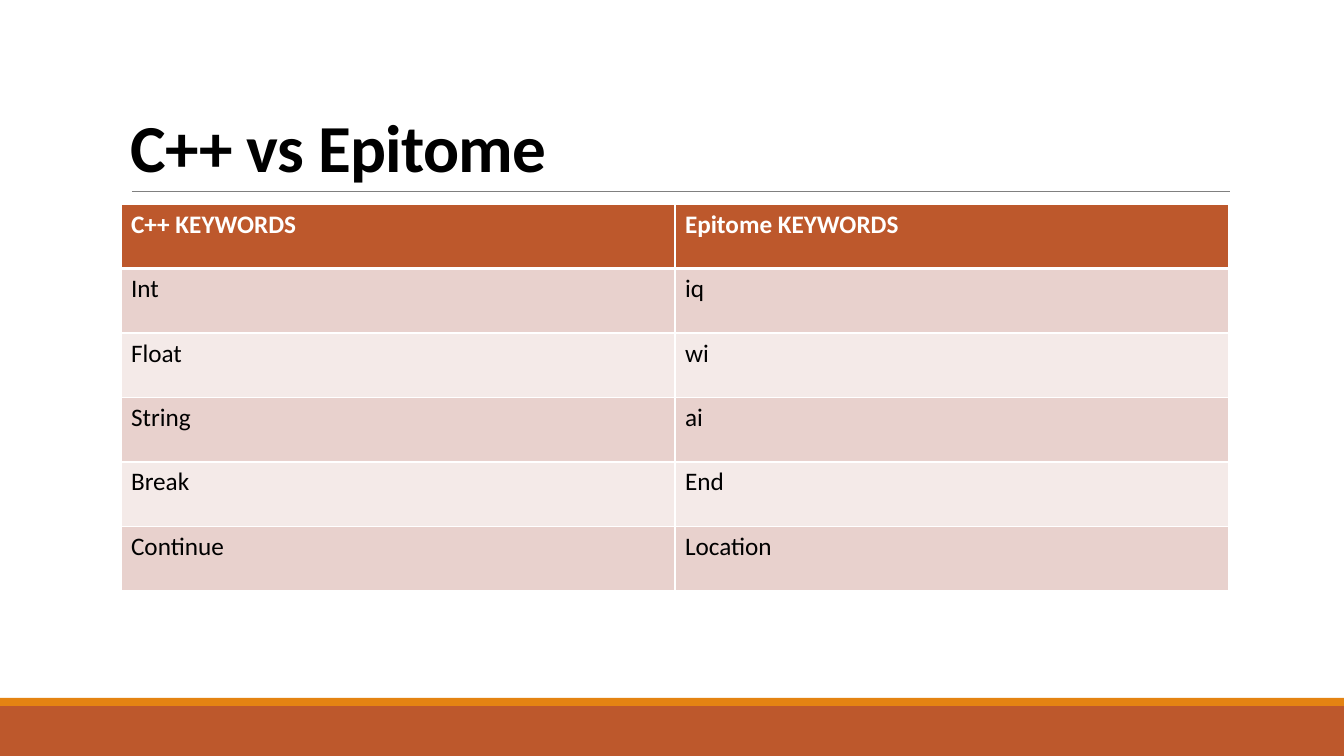
import pptx
import pptx.util
import pptx.dml.color
import pptx.enum.shapes
import pptx.enum.text
import pptx.oxml.ns
import lxml.etree

TITLE = "C++ vs Epitome"
KEYWORDS = [
    ("C++ KEYWORDS", "Epitome KEYWORDS"),
    ("Int", "iq"),
    ("Float", "wi"),
    ("String", "ai"),
    ("Break", "End"),
    ("Continue", "Location"),
]

THEME = {
    "font": "Calibri",
    "title_size": 48,
    "table_size": 18,
    "text": "000000",
    "white": "FFFFFF",
    "rust": "BD582C",
    "orange": "E48312",
    "rule": "808080",
    "bands": ("E8D1CD", "F4EAE8"),
}

# Lengths in px: left, top, width, height
PAGE_SIZE = (1344, 756)
FOOTER_BANDS = [("rust", (0, 706, 1344, 50)), ("orange", (0, 698, 1344, 8))]
TITLE_BOX = (121, 31, 1109, 160)
TITLE_RULE = (132, 191, 1230, 191)
TABLE_BOX = (121, 204, 1108, 387)
THIN, THICK = 1, 3


def emu(*lengths):
    return [pptx.util.Emu(round(length * 914400 / 100.8)) for length in lengths]


def color(value):
    return pptx.dml.color.RGBColor.from_string(value)


def style(para, size, fill, bold):
    for span in para.runs:
        span.font.name = THEME["font"]
        span.font.size = pptx.util.Pt(size)
        span.font.bold = bold
        span.font.color.rgb = color(fill)


def add_footer(page):
    for name, place in FOOTER_BANDS:
        band = page.shapes.add_shape(
            pptx.enum.shapes.MSO_SHAPE.RECTANGLE, *emu(*place))
        band.shadow.inherit = False
        band.fill.solid()
        band.fill.fore_color.rgb = color(THEME[name])
        band.line.fill.background()


def add_title(page):
    rule = page.shapes.add_connector(
        pptx.enum.shapes.MSO_CONNECTOR.STRAIGHT, *emu(*TITLE_RULE))
    rule.line.color.rgb = color(THEME["rule"])
    rule.line.width = pptx.util.Pt(0.5)
    lxml.etree.SubElement(rule._element.spPr, pptx.oxml.ns.qn("a:effectLst"))

    box = page.shapes.add_textbox(*emu(*TITLE_BOX))
    frame = box.text_frame
    frame.word_wrap = True
    frame.vertical_anchor = pptx.enum.text.MSO_ANCHOR.BOTTOM
    frame.text = TITLE
    para = frame.paragraphs[0]
    para.line_spacing = 0.85
    style(para, THEME["title_size"], THEME["text"], True)
    para.runs[0].font._element.set("spc", "-50")


def add_borders(cell, top, bottom):
    """Draw white borders; top and bottom are widths in points."""
    properties = cell._tc.get_or_add_tcPr()
    for side, width in (("L", THIN), ("R", THIN), ("T", top), ("B", bottom)):
        line = lxml.etree.SubElement(
            properties, pptx.oxml.ns.qn("a:ln" + side), w=str(pptx.util.Pt(width)))
        fill = lxml.etree.SubElement(line, pptx.oxml.ns.qn("a:solidFill"))
        lxml.etree.SubElement(
            fill, pptx.oxml.ns.qn("a:srgbClr"), val=THEME["white"])


def add_keywords(page):
    table = page.shapes.add_table(
        len(KEYWORDS), len(KEYWORDS[0]), *emu(*TABLE_BOX)).table
    for row, words in enumerate(KEYWORDS):
        header = row == 0
        fill = THEME["rust"] if header else THEME["bands"][(row - 1) % 2]
        for column, word in enumerate(words):
            cell = table.cell(row, column)
            add_borders(cell, THICK if row == 1 else THIN, THICK if header else THIN)
            cell.fill.solid()
            cell.fill.fore_color.rgb = color(fill)
            cell.text_frame.text = word
            style(cell.text_frame.paragraphs[0], THEME["table_size"],
                  THEME["white"] if header else THEME["text"], header)


def main():
    deck = pptx.Presentation()
    deck.slide_width, deck.slide_height = emu(*PAGE_SIZE)
    page = deck.slides.add_slide(deck.slide_layouts[6])
    add_footer(page)
    add_title(page)
    add_keywords(page)
    deck.save("out.pptx")


if __name__ == "__main__":
    main()
